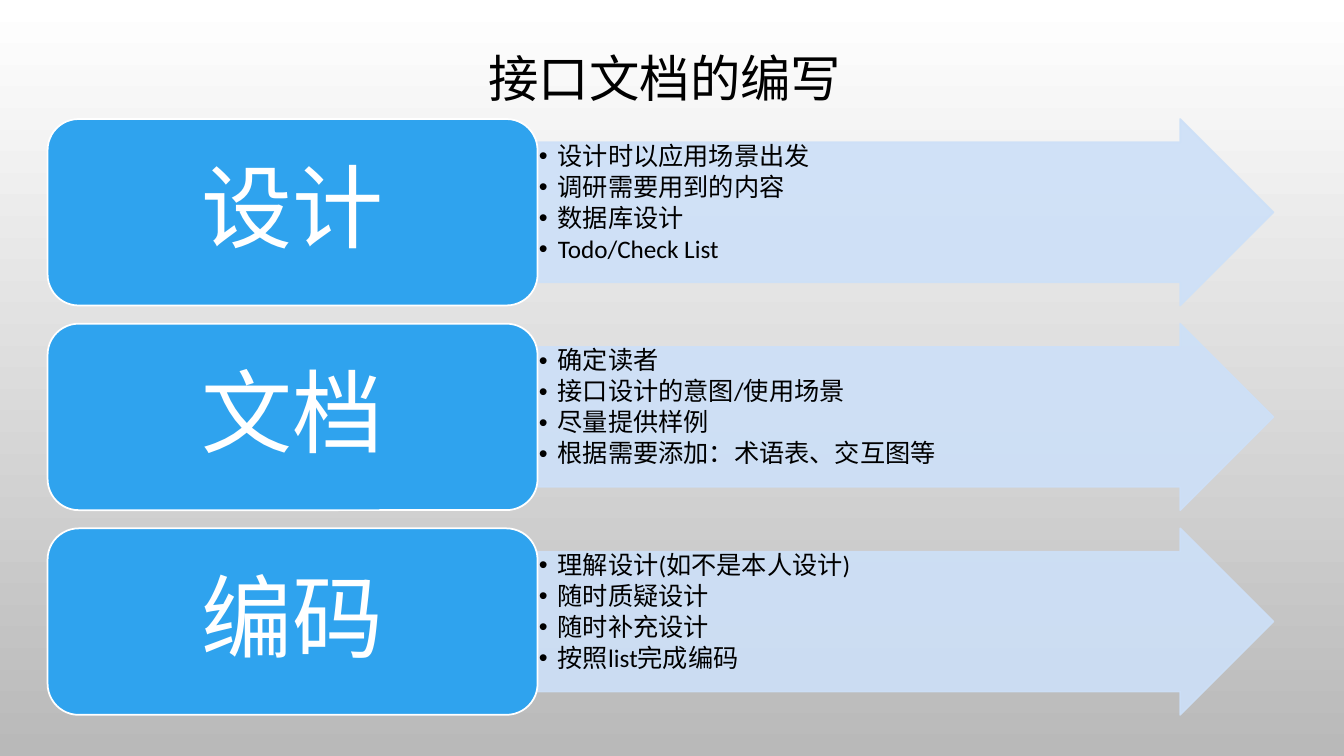
from lxml.etree import SubElement
from pptx import Presentation
from pptx.dml.color import RGBColor
from pptx.enum.shapes import MSO_SHAPE
from pptx.enum.text import MSO_ANCHOR, MSO_AUTO_SIZE, PP_ALIGN
from pptx.oxml.ns import qn
from pptx.util import Pt

COLORS = {
    "top": "FFFFFF",
    "bottom": "B9B9B9",
    "text": "000000",
    "card": "2FA3EE",
    "card_text": "FFFFFF",
    "arrow": "CDE0F8",
}

STAGES = [
    ("设计", ["设计时以应用场景出发", "调研需要用到的内容", "数据库设计", "Todo/Check List"]),
    ("文档", ["确定读者", "接口设计的意图/使用场景", "尽量提供样例", "根据需要添加：术语表、交互图等"]),
    ("编码", ["理解设计(如不是本人设计)", "随时质疑设计", "随时补充设计", "按照list完成编码"]),
]

FIRST_TOP, STAGE_STEP, STAGE_HEIGHT = 85, 146.2, 133.2
CARD_LEFT, CARD_WIDTH = 34, 350
ARROW_LEFT, ARROW_WIDTH = CARD_LEFT + CARD_WIDTH, 525.6
LIST_OFFSET, LIST_WIDTH, LIST_HEIGHT = 16.6, 475, 100


class SlideBuilder:
    font = "Calibri"
    line_spacing = 0.9

    def __init__(self, slide):
        self.slide = slide

    def color(self, name):
        return RGBColor.from_string(COLORS[name])

    def background(self):
        fill = self.slide.background.fill
        fill.gradient()
        fill.gradient_angle = 270
        for stop, name in zip(fill.gradient_stops, ("top", "bottom")):
            stop.color.rgb = self.color(name)

    def place(self, holder, left, top, width, height):
        holder.left, holder.top = Pt(left), Pt(top)
        holder.width, holder.height = Pt(width), Pt(height)

    def frame(self, shape, anchor, horizontal, vertical):
        frame = shape.text_frame
        frame.word_wrap = True
        frame.auto_size = MSO_AUTO_SIZE.NONE
        frame.vertical_anchor = anchor
        frame.margin_left = frame.margin_right = Pt(horizontal)
        frame.margin_top = frame.margin_bottom = Pt(vertical)
        return frame

    def add_text(self, paragraph, text, size, color, align, after=0):
        paragraph.alignment = align
        paragraph.line_spacing = self.line_spacing
        paragraph.space_before = Pt(0)
        paragraph.space_after = Pt(after)
        run = paragraph.add_run()
        run.text = text
        run.font.name = self.font
        run.font.size = Pt(size)
        run.font.bold = False
        run.font.color.rgb = self.color(color)

    def title(self, text):
        heading = self.slide.shapes.title
        self.place(heading, 67, -5, 816, 126)
        frame = self.frame(heading, MSO_ANCHOR.MIDDLE, 7.2, 3.6)
        self.add_text(frame.paragraphs[0], text, 36, "text", PP_ALIGN.CENTER)

    def block(self, kind, left, top, width, fill, line):
        block = self.slide.shapes.add_shape(kind, Pt(left), Pt(top), Pt(width), Pt(STAGE_HEIGHT))
        block.shadow.inherit = False
        block.fill.solid()
        block.fill.fore_color.rgb = self.color(fill)
        block.line.color.rgb = self.color(line)
        block.line.width = Pt(1.25)
        return block

    def arrow(self, top):
        arrow = self.block(MSO_SHAPE.RIGHT_ARROW, ARROW_LEFT, top, ARROW_WIDTH, "arrow", "arrow")
        arrow.adjustments[0] = 0.75
        arrow.adjustments[1] = 0.5
        for tint in arrow.element.spPr.iter(qn("a:srgbClr")):
            SubElement(tint, qn("a:alpha"), val="90000")

    def card(self, name, top):
        card = self.block(MSO_SHAPE.ROUNDED_RECTANGLE, CARD_LEFT, top, CARD_WIDTH, "card", "card_text")
        frame = self.frame(card, MSO_ANCHOR.MIDDLE, 26, 17)
        self.add_text(frame.paragraphs[0], name, 65, "card_text", PP_ALIGN.CENTER, 22.75)

    def bullets(self, holder, points, top):
        self.place(holder, ARROW_LEFT, top + LIST_OFFSET, LIST_WIDTH, LIST_HEIGHT)
        holder.element.getparent().append(holder.element)
        frame = self.frame(holder, MSO_ANCHOR.TOP, 0.9, 0.9)
        for number, point in enumerate(points):
            paragraph = frame.add_paragraph() if number else frame.paragraphs[0]
            self.add_text(paragraph, point, 18, "text", PP_ALIGN.LEFT, 2.7)
            properties = paragraph._p.get_or_add_pPr()
            properties.set("marL", str(Pt(13.5)))
            properties.set("indent", str(Pt(-13.5)))
            SubElement(properties, qn("a:buFont"), typeface="Arial")
            SubElement(properties, qn("a:buChar"), char="•")


def main():
    deck = Presentation()
    deck.slide_width, deck.slide_height = Pt(960), Pt(540)
    slide = deck.slides.add_slide(deck.slide_layouts.get_by_name("Comparison"))
    builder = SlideBuilder(slide)
    builder.background()
    builder.title("接口文档的编写")
    *lists, spare = list(slide.placeholders)[1:]
    spare.element.getparent().remove(spare.element)
    for row, (holder, (name, points)) in enumerate(zip(lists, STAGES)):
        top = FIRST_TOP + row * STAGE_STEP
        builder.arrow(top)
        builder.bullets(holder, points, top)
        builder.card(name, top)
    deck.save("out.pptx")


if __name__ == "__main__":
    main()
